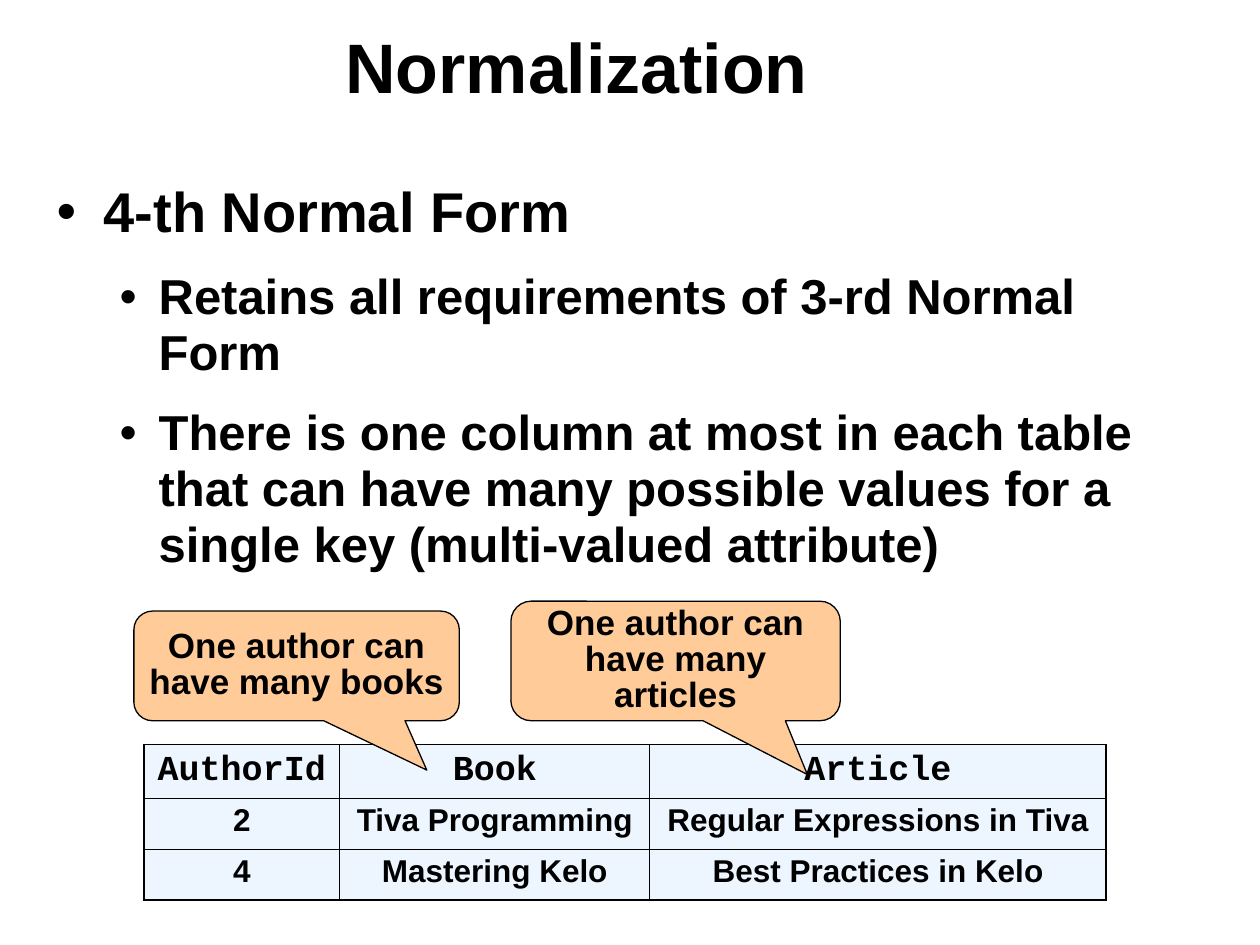
"""Build the slide on the fourth normal form."""
import pptx
import pptx.dml.color
import pptx.enum.shapes
import pptx.enum.text
import pptx.oxml
import pptx.oxml.ns
import pptx.util
from pptx.util import Cm, Pt

BLACK = pptx.dml.color.RGBColor(0x00, 0x00, 0x00)
PEACH = pptx.dml.color.RGBColor(0xFF, 0xCC, 0x99)
PALE_BLUE = pptx.dml.color.RGBColor(0xDD, 0xEC, 0xFF)
ALIGN = pptx.enum.text.PP_ALIGN
ANCHOR = pptx.enum.text.MSO_ANCHOR
NAMESPACE = pptx.oxml.ns.nsdecls("a")
THICK, THIN = 1.08, 0.45

BULLETS = [
    ("4-th Normal Form", 0),
    ("Retains all requirements of 3-rd Normal Form", 1),
    ("There is one column at most in each table that can have many possible "
     "values for a single key (multi-valued attribute)", 1),
]
BULLET_LEVELS = [
    {"indent": Cm(0.95), "hang": Cm(0.95), "size": 32, "before": 16},
    {"indent": Cm(2.06), "hang": Cm(0.79), "size": 28, "before": 14},
]
ROWS = [
    ("AuthorId", "Book", "Article"),
    ("2", "Tiva Programming", "Regular Expressions in Tiva"),
    ("4", "Mastering Kelo", "Best Practices in Kelo"),
]
COLUMN_WIDTHS = [Cm(3.95), Cm(6.25), Cm(9.2)]
ROW_HEIGHTS = [Cm(1.09), Cm(1.02), Cm(1.02)]
CALLOUTS = [
    ("One author can have many books",
     (Cm(2.7), Cm(12.32), Cm(6.56), Cm(2.21)), (0.4, 0.95, 0.17)),
    ("One author can have many articles",
     (Cm(10.3), Cm(12.12), Cm(6.64), Cm(2.41)), (0.4, 0.95, 0.17)),
]


def write(paragraph, text, size=20, font="Arial", align=ALIGN.LEFT, spacing=0.95, before=0):
    """Put bold black text into a paragraph."""
    paragraph.alignment = align
    paragraph.line_spacing = spacing
    paragraph.space_before = Pt(before)
    run = paragraph.add_run()
    run.text = text
    run.font.size = Pt(size)
    run.font.name = font
    run.font.bold = True
    run.font.color.rgb = BLACK


def add_bullet(paragraph, indent, hang):
    """Give a paragraph a black bullet with a hanging indent."""
    properties = paragraph._p.get_or_add_pPr()
    properties.set("marL", str(indent))
    properties.set("indent", str(-hang))
    for xml in (
        f'<a:buClr {NAMESPACE}><a:srgbClr val="{BLACK}"/></a:buClr>',
        f'<a:buFont {NAMESPACE} typeface="Arial"/>',
        f'<a:buChar {NAMESPACE} char="•"/>',
    ):
        properties.append(pptx.oxml.parse_xml(xml))


def format_title(slide):
    """Place and fill the title placeholder."""
    title = slide.shapes.title
    title.left, title.top, title.width, title.height = Cm(6.71), Cm(0.2), Cm(18.21), Cm(2.51)
    title.text_frame.auto_size = pptx.enum.text.MSO_AUTO_SIZE.NONE
    title.text_frame.vertical_anchor = ANCHOR.MIDDLE
    write(title.text_frame.paragraphs[0], "Normalization", size=40, spacing=0.85)


def add_bullets(slide):
    """Add the two-level bullet list."""
    box = slide.shapes.add_textbox(Cm(0.89), Cm(3.53), Cm(23.6), Cm(14.81))
    frame = box.text_frame
    frame.word_wrap = True
    for number, (text, level) in enumerate(BULLETS):
        paragraph = frame.add_paragraph() if number else frame.paragraphs[0]
        style = BULLET_LEVELS[level]
        paragraph.level = level
        add_bullet(paragraph, style["indent"], style["hang"])
        write(paragraph, text, size=style["size"], before=style["before"] if number else 0)


def set_borders(cell, widths):
    """Draw the left, right, top and bottom borders of a cell."""
    properties = cell._tc.get_or_add_tcPr()
    for position, (side, width) in enumerate(zip("LRTB", widths)):
        properties.insert(position, pptx.oxml.parse_xml(
            f'<a:ln{side} {NAMESPACE} w="{Pt(width)}"><a:solidFill>'
            f'<a:srgbClr val="{BLACK}"/></a:solidFill></a:ln{side}>'))


def fill_cell(cell):
    """Give a cell the half-transparent pale blue fill."""
    cell.fill.solid()
    cell.fill.fore_color.rgb = PALE_BLUE
    color = cell._tc.tcPr.find(".//" + pptx.oxml.ns.qn("a:srgbClr"))
    color.append(pptx.oxml.parse_xml(f'<a:alpha {NAMESPACE} val="50000"/>'))


def add_author_table(slide):
    """Add the table of authors, books and articles."""
    last_row, last_column = len(ROWS) - 1, len(COLUMN_WIDTHS) - 1
    table = slide.shapes.add_table(
        len(ROWS), len(COLUMN_WIDTHS), Cm(2.9), Cm(15.01),
        sum(COLUMN_WIDTHS), sum(ROW_HEIGHTS)).table
    table.first_row = table.horz_banding = False
    for column, width in zip(table.columns, COLUMN_WIDTHS):
        column.width = width
    for row, height in zip(table.rows, ROW_HEIGHTS):
        row.height = height
    for row_number, texts in enumerate(ROWS):
        style = {"size": 18} if row_number else {"size": 20, "font": "Courier New"}
        for column_number, text in enumerate(texts):
            cell = table.cell(row_number, column_number)
            write(cell.text_frame.paragraphs[0], text, align=ALIGN.CENTER, **style)
            fill_cell(cell)
            outer = (column_number == 0, column_number == last_column,
                     row_number == 0, row_number == last_row)
            set_borders(cell, [THICK if edge else THIN for edge in outer])


def add_callout(slide, text, bounds, adjustments):
    """Add a rounded callout that points at the table."""
    callout = slide.shapes.add_shape(
        pptx.enum.shapes.MSO_SHAPE.ROUNDED_RECTANGULAR_CALLOUT, *bounds)
    for number, value in enumerate(adjustments):
        callout.adjustments[number] = value
    callout.shadow.inherit = False
    callout.fill.solid()
    callout.fill.fore_color.rgb = PEACH
    callout.line.color.rgb = BLACK
    callout.line.width = Pt(0.75)
    frame = callout.text_frame
    frame.word_wrap = True
    frame.vertical_anchor = ANCHOR.MIDDLE
    frame.margin_left = frame.margin_right = Cm(0.15)
    write(frame.paragraphs[0], text, align=ALIGN.CENTER, spacing=0.85)


def main():
    """Build and save the presentation."""
    presentation = pptx.Presentation()
    presentation.slide_width, presentation.slide_height = Cm(25.4), Cm(19.05)
    slide = presentation.slides.add_slide(presentation.slide_layouts[5])
    format_title(slide)
    add_bullets(slide)
    add_author_table(slide)
    for text, bounds, adjustments in CALLOUTS:
        add_callout(slide, text, bounds, adjustments)
    presentation.save("out.pptx")


if __name__ == "__main__":
    main()
